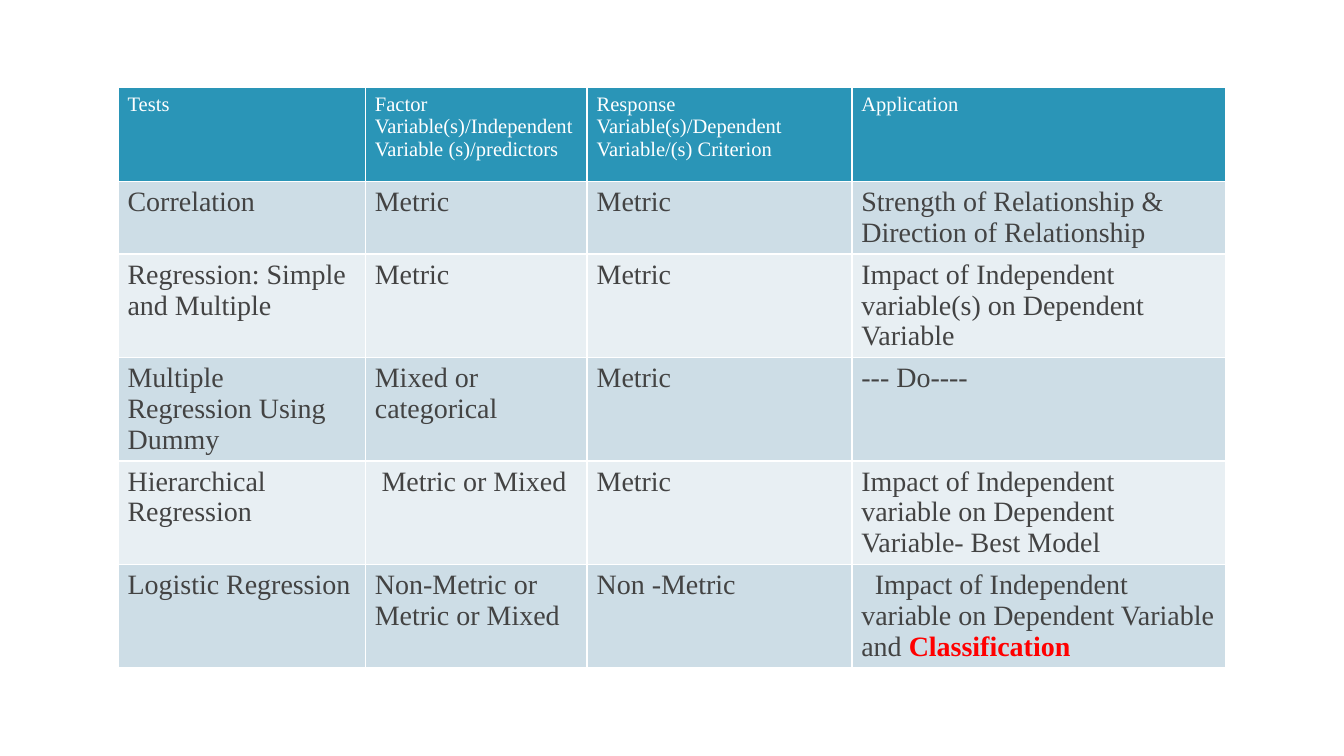
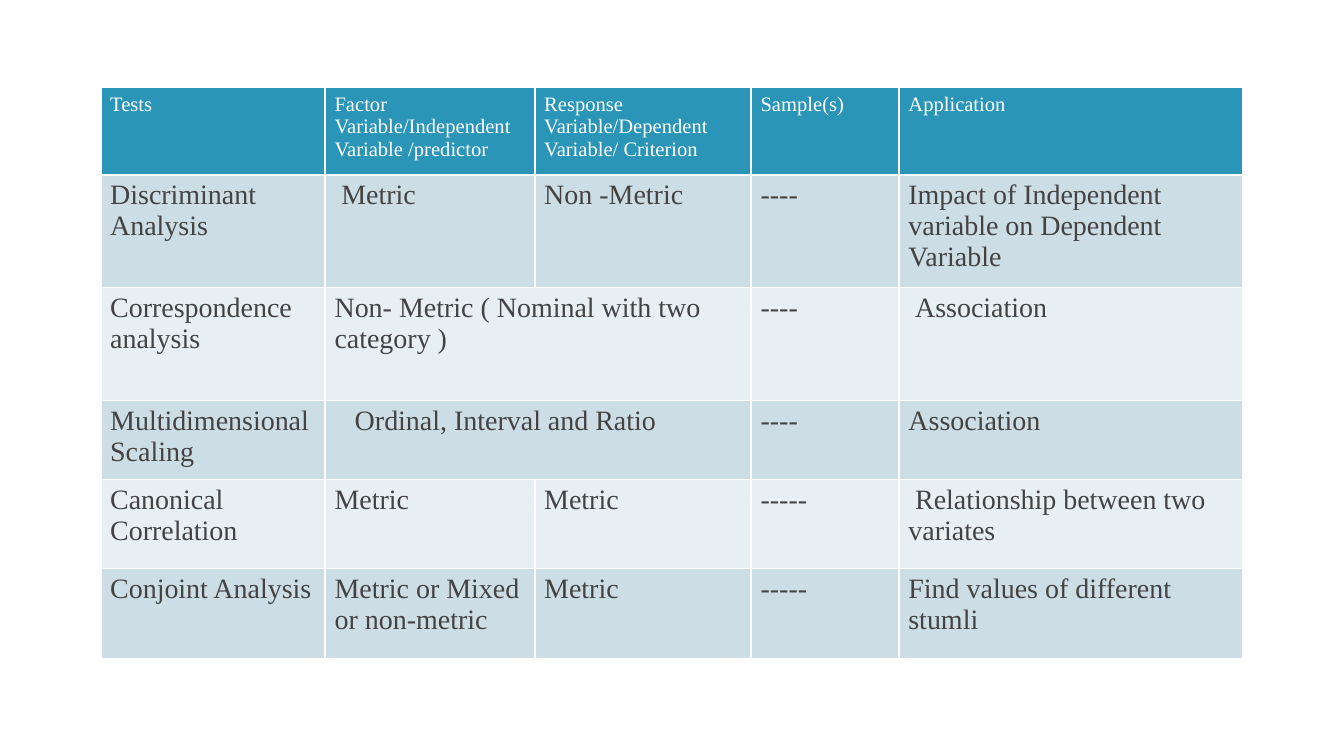
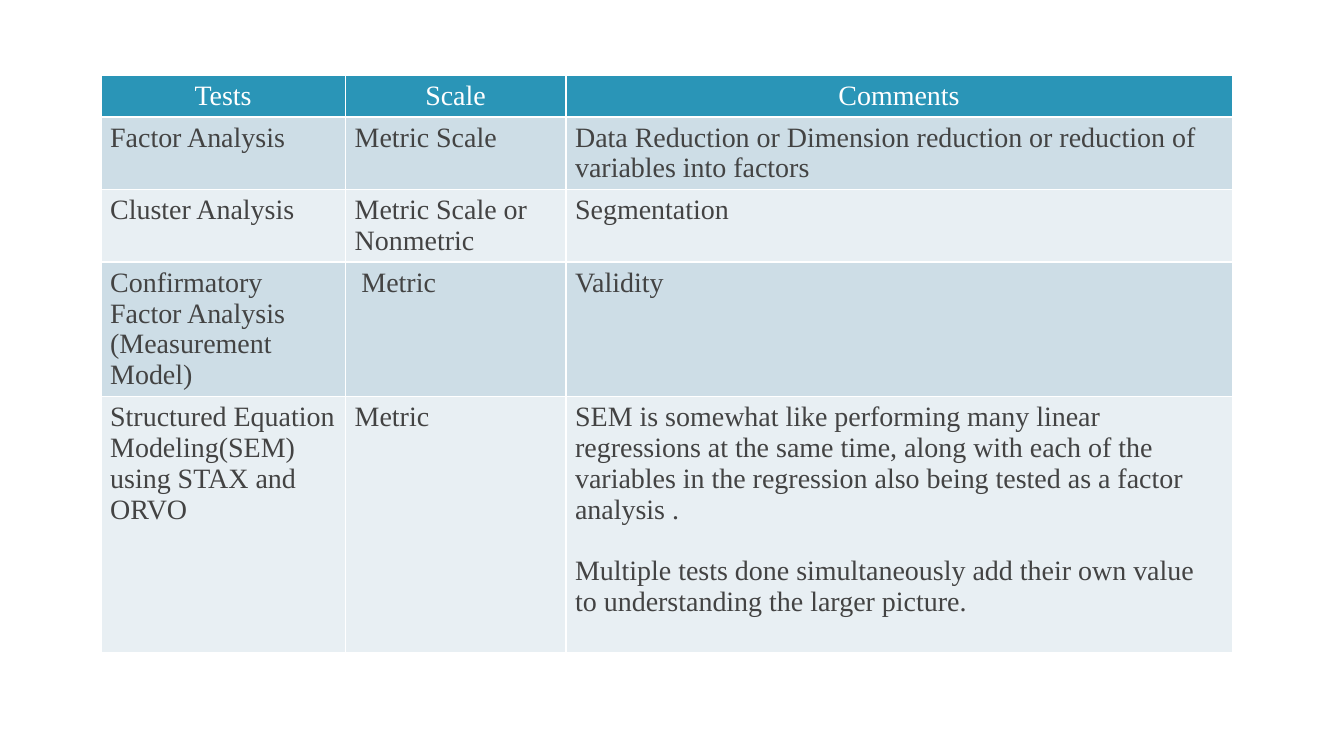
"""Builds three slides of tables that compare statistical tests."""
from dataclasses import dataclass

from lxml.etree import SubElement
from pptx import Presentation
from pptx.dml.color import RGBColor
from pptx.enum.text import PP_ALIGN
from pptx.oxml.ns import qn
from pptx.util import Inches, Pt


@dataclass(frozen=True)
class Theme:
    font: str = "Times New Roman"
    header: str = "2A95B7"
    bands: tuple = ("CDDDE6", "E8EFF3")
    line: str = "FFFFFF"
    head_text: str = "FFFFFF"
    text: str = "434343"
    accent: str = "FF0000"
    small: float = 11
    body: float = 15
    space: float = 0.05
    margins: tuple = (0.07, 0.04)


T = Theme()
BESIDE = None

TABLES = [
    {
        "at": (0.88, 0.65), "head_size": T.small, "head_align": PP_ALIGN.LEFT,
        "cols": (1.84, 1.65, 1.97, 2.78),
        "rows": (0.7, 0.5, 0.71, 0.5, 0.71, 0.71),
        "cells": [
            ("Tests", "Factor Variable(s)/Independent Variable (s)/predictors",
             "Response Variable(s)/Dependent Variable/(s) Criterion", "Application"),
            ("Correlation", "Metric", "Metric",
             "Strength of Relationship & Direction of Relationship"),
            ("Regression: Simple and Multiple", "Metric", "Metric",
             "Impact of Independent variable(s) on Dependent Variable"),
            ({"text": "Multiple Regression Using Dummy", "right": 0.2},
             "Mixed or categorical", "Metric", "--- Do----"),
            ("Hierarchical Regression", {"text": "Metric or Mixed", "indent": 1}, "Metric",
             {"text": "Impact of Independent variable on Dependent Variable- Best Model",
              "right": 0.2}),
            ("Logistic Regression", "Non-Metric or Metric or Mixed", "Non -Metric",
             {"text": "Impact of Independent variable on Dependent Variable and ",
              "accent": "Classification", "indent": 2}),
        ],
    },
    {
        "at": (0.75, 0.65), "head_size": T.small, "head_align": PP_ALIGN.LEFT,
        "cols": (1.67, 1.56, 1.61, 1.1, 2.56),
        "rows": (0.65, 0.84, 0.84, 0.59, 0.66, 0.67),
        "cells": [
            ("Tests", "Factor Variable/Independent Variable /predictor",
             "Response Variable/Dependent Variable/ Criterion", "Sample(s)", "Application"),
            ("Discriminant Analysis", {"text": "Metric", "indent": 1}, "Non -Metric", "----",
             "Impact of Independent variable on Dependent Variable"),
            ("Correspondence analysis", "Non- Metric ( Nominal with two category )", BESIDE,
             "----", {"text": "Association", "indent": 1}),
            ("Multidimensional Scaling",
             {"text": "Ordinal, Interval and Ratio", "indent": 3}, BESIDE,
             "----", "Association"),
            ("Canonical Correlation", "Metric", "Metric", "-----",
             {"text": "Relationship between two variates", "indent": 1}),
            ("Conjoint Analysis", "Metric or Mixed or non-metric", "Metric", "-----",
             "Find values of different stumli"),
        ],
    },
    {
        "at": (0.75, 0.56), "head_size": T.body, "head_align": PP_ALIGN.CENTER,
        "cols": (1.82, 1.64, 4.96),
        "rows": (0.27, 0.48, 0.48, 0.89, 1.91),
        "cells": [
            ("Tests", "Scale", "Comments"),
            ("Factor Analysis", "Metric Scale",
             "Data Reduction or Dimension reduction or reduction of variables into factors"),
            ("Cluster Analysis", "Metric Scale or Nonmetric", "Segmentation"),
            ({"text": "Confirmatory Factor Analysis (Measurement Model)", "right": 0.2},
             {"text": "Metric", "indent": 1}, "Validity"),
            ("Structured Equation Modeling(SEM) using STAX and ORVO", "Metric",
             "SEM is somewhat like performing many linear regressions at the same time, "
             "along with each of the variables in the regression also being tested as a "
             "factor analysis .\n"
             "Multiple tests done simultaneously add their own value to understanding "
             "the larger picture."),
        ],
    },
]


def write(tf, text, size=T.body, color=T.text, align=PP_ALIGN.LEFT, indent=0, accent=""):
    tf.word_wrap = True
    for i, line in enumerate(text.split("\n")):
        p = tf.add_paragraph() if i else tf.paragraphs[0]
        p.alignment = align
        if i:
            p.space_before = Pt(size * 1.1)
        if indent:
            p._p.get_or_add_pPr().set("indent", str(Inches(indent * T.space)))
        for words, tint, bold in ((line, color, False), (accent, T.accent, True)):
            if words:
                r = p.add_run()
                r.text = words
                r.font.name, r.font.size, r.font.bold = T.font, Pt(size), bold
                r.font.color.rgb = RGBColor.from_string(tint)


def style_cell(cell, fill, right=0):
    side, top = T.margins
    cell.margin_left, cell.margin_right = Inches(side), Inches(side + right)
    cell.margin_top = cell.margin_bottom = Inches(top)
    tcPr = cell._tc.get_or_add_tcPr()
    for edge in "LRTB":
        ln = SubElement(tcPr, qn(f"a:ln{edge}"), w=str(Pt(1)))
        SubElement(SubElement(ln, qn("a:solidFill")), qn("a:srgbClr"), val=T.line)
    cell.fill.solid()
    cell.fill.fore_color.rgb = RGBColor.from_string(fill)


def add_tests(s, data):
    cols, rows = data["cols"], data["rows"]
    box = (*data["at"], sum(cols), sum(rows))
    table = s.shapes.add_table(len(rows), len(cols), *map(Inches, box)).table
    for col, width in zip(table.columns, cols):
        col.width = Inches(width)
    for row, height in zip(table.rows, rows):
        row.height = Inches(height)
    head = {"size": data["head_size"], "color": T.head_text, "align": data["head_align"]}
    for i, line in enumerate(data["cells"]):
        fill = T.bands[(i - 1) % 2] if i else T.header
        for j, item in enumerate(line):
            cell = table.cell(i, j)
            fmt = dict(item) if isinstance(item, dict) else {"text": item}
            style_cell(cell, fill, right=fmt.pop("right", 0))
            if item is BESIDE:
                table.cell(i, j - 1).merge(cell)
            else:
                write(cell.text_frame, **fmt, **({} if i else head))


def main():
    prs = Presentation()
    prs.slide_width = Inches(10)
    prs.slide_height = prs.slide_width * 9 // 16
    for data in TABLES:
        add_tests(prs.slides.add_slide(prs.slide_layouts[6]), data)
    prs.save("out.pptx")


if __name__ == "__main__":
    main()
